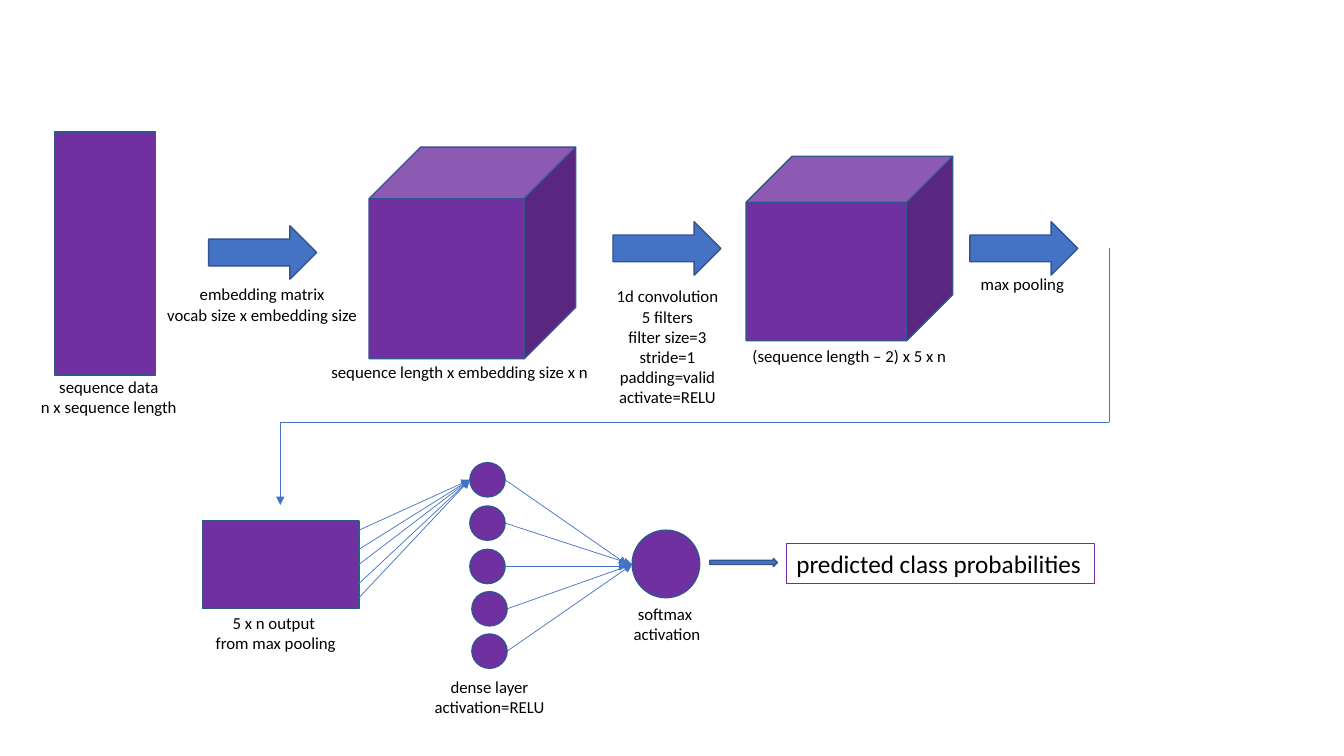
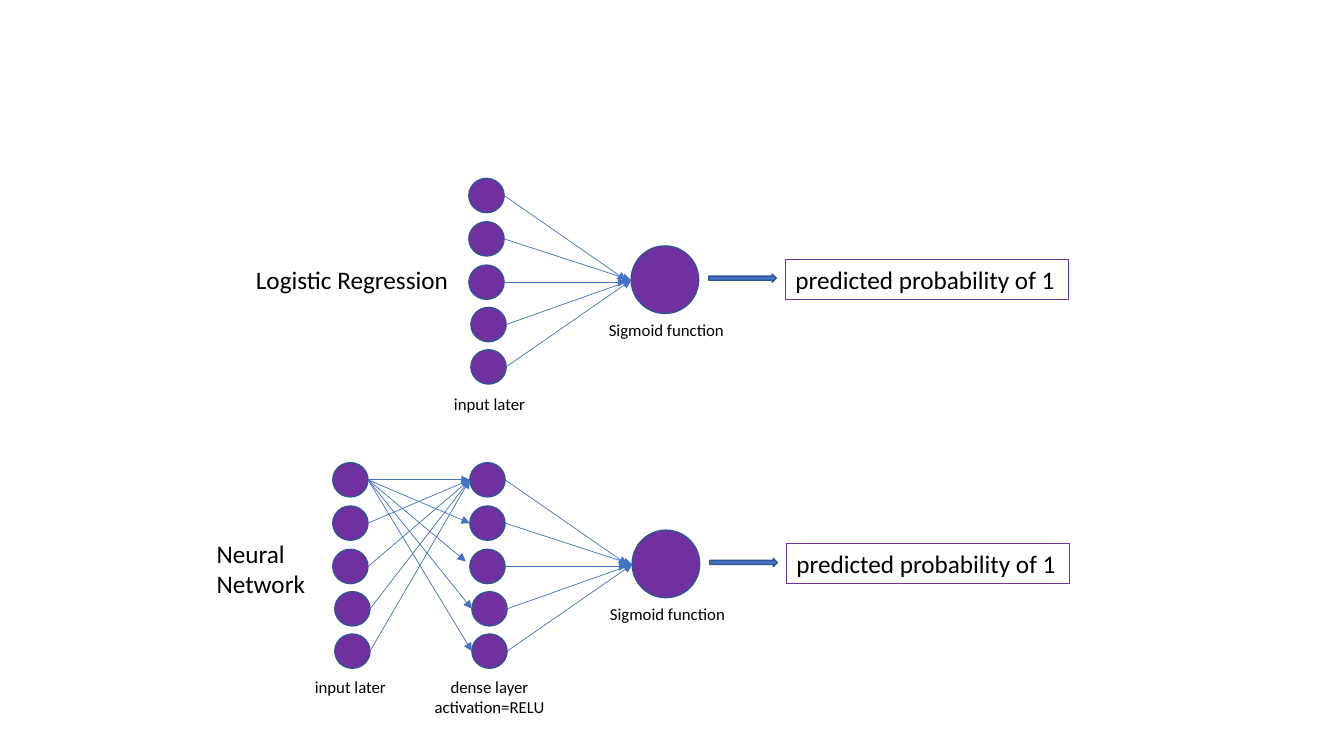
from dataclasses import dataclass
from typing import NamedTuple

from lxml import etree
from pptx import Presentation
from pptx.dml.color import RGBColor
from pptx.enum.shapes import MSO_CONNECTOR, MSO_SHAPE
from pptx.enum.text import MSO_AUTO_SIZE, PP_ALIGN
from pptx.oxml.ns import qn
from pptx.slide import Slide
from pptx.util import Inches, Pt

RECTANGLE = MSO_SHAPE.RECTANGLE
CUBE = MSO_SHAPE.CUBE
OVAL = MSO_SHAPE.OVAL
RIGHT_ARROW = MSO_SHAPE.RIGHT_ARROW
STRAIGHT = MSO_CONNECTOR.STRAIGHT
CENTER, LEFT = PP_ALIGN.CENTER, PP_ALIGN.LEFT
FIT_SHAPE = MSO_AUTO_SIZE.SHAPE_TO_FIT_TEXT


@dataclass(frozen=True)
class Theme:
    """Colours, type and line widths shared by the slides."""
    purple: RGBColor = RGBColor(0x70, 0x30, 0xA0)
    blue: RGBColor = RGBColor(0x44, 0x72, 0xC4)
    outline: RGBColor = RGBColor(0x32, 0x54, 0x91)
    ink: RGBColor = RGBColor(0, 0, 0)
    font: str = "Calibri"
    caption_size: float = 12
    heading_size: float = 18
    outline_width: float = 1
    frame_width: float = 0.75
    link_width: float = 0.5


class Point(NamedTuple):
    """A place on the page, in inches."""
    x: float
    y: float


class Box(NamedTuple):
    """A rectangle on the page, in inches."""
    left: float
    top: float
    width: float
    height: float


class Block(NamedTuple):
    """A filled preset shape."""
    kind: MSO_SHAPE
    box: Box
    color: RGBColor


class Caption(NamedTuple):
    """Centred small text below a block."""
    text: str
    box: Box


class Node(NamedTuple):
    """One neuron of a layer."""
    left: float
    top: float

    @property
    def entry(self) -> Point:
        """Return the middle of the left edge."""
        return Point(self.left, self.top + NODE_HEIGHT / 2)

    @property
    def exit(self) -> Point:
        """Return the middle of the right edge."""
        return Point(self.left + NODE_WIDTH, self.top + NODE_HEIGHT / 2)


THEME = Theme()
NODE_WIDTH, NODE_HEIGHT = 0.35, 0.34
NODE_OFFSETS = [(0, 0), (0, 0.43), (0, 0.86), (0.02, 1.28), (0.02, 1.7)]
LINK_ENDS = [(1.56, 1.01), (1.61, 1.01), (1.56, 1.03), (1.61, 1.01), (1.61, 1.01)]
DENSE = Point(4.66, 4.59)
LOGISTIC = Point(4.65, 1.77)
INPUT = Point(3.3, 4.59)

PIPELINE = [
    Block(CUBE, Box(3.66, 1.46, 2.05, 2.1), THEME.purple),
    Block(RECTANGLE, Box(0.54, 1.31, 1, 2.41), THEME.purple),
    Block(CUBE, Box(7.4, 1.55, 2.05, 1.83), THEME.purple),
    Block(RECTANGLE, Box(2.01, 5.17, 1.55, 0.87), THEME.purple),
    Block(RIGHT_ARROW, Box(2.07, 2.24, 1.07, 0.53), THEME.blue),
    Block(RIGHT_ARROW, Box(6.08, 2.2, 1.07, 0.53), THEME.blue),
    Block(RIGHT_ARROW, Box(9.62, 2.2, 1.07, 0.53), THEME.blue),
]
PIPELINE_CAPTIONS = [
    Caption("sequence data\nn x sequence length", Box(0.3, 3.69, 1.56, 0.5)),
    Caption("embedding matrix\nvocab size x embedding size", Box(1.54, 2.77, 2.12, 0.5)),
    Caption("sequence length x embedding size x n", Box(3.17, 3.54, 2.78, 0.3)),
    Caption("1d convolution\n5 filters\nfilter size=3\nstride=1\npadding=valid\nactivate=RELU",
            Box(6.01, 2.79, 1.22, 1.31)),
    Caption("(sequence length – 2) x 5 x n", Box(7.35, 3.38, 2.15, 0.3)),
    Caption("max pooling", Box(9.62, 2.67, 1.04, 0.3)),
    Caption("5 x n output \nfrom max pooling", Box(2.03, 6.03, 1.41, 0.5)),
]
DENSE_CAPTION = Caption("dense layer\nactivation=RELU", Box(4.2, 6.66, 1.31, 0.5))
INPUT_CAPTIONS = [
    Caption("input later", Box(4.2, 3.86, 1.31, 0.3)),
    Caption("input later", Box(2.82, 6.66, 1.31, 0.3)),
]
POOLED_EDGE = 3.56
POOLED_ROWS = [5.26, 5.45, 5.6, 5.79, 5.93]


def inches(box: Box) -> list[Inches]:
    """Convert a box to lengths."""
    return [Inches(value) for value in box]


def add_text(page: Slide, text: str, box: Box, *, size: float = THEME.caption_size,
             align: PP_ALIGN = CENTER, frame: RGBColor | None = None) -> None:
    """Write one paragraph per line of text, with an optional frame."""
    shape = page.shapes.add_textbox(*inches(box))
    if frame is not None:
        shape.line.color.rgb = frame
        shape.line.width = Pt(THEME.frame_width)
    body = shape.text_frame
    body.word_wrap = False
    body.auto_size = FIT_SHAPE
    for index, line in enumerate(text.split("\n")):
        para = body.add_paragraph() if index else body.paragraphs[0]
        para.alignment = align
        span = para.add_run()
        span.text = line
        span.font.name = THEME.font
        span.font.size = Pt(size)
        span.font.color.rgb = THEME.ink


def add_captions(page: Slide, captions: list[Caption]) -> None:
    """Write a set of captions."""
    for caption in captions:
        add_text(page, caption.text, caption.box)


def add_block(page: Slide, block: Block) -> None:
    """Draw a filled, outlined shape."""
    shape = page.shapes.add_shape(block.kind, *inches(block.box))
    shape.shadow.inherit = False
    shape.fill.solid()
    shape.fill.fore_color.rgb = block.color
    shape.line.color.rgb = THEME.outline
    shape.line.width = Pt(THEME.outline_width)


def add_link(page: Slide, start: Point, end: Point, arrow: bool = True) -> None:
    """Draw a thin line, with an arrowhead at its end if wanted."""
    link = page.shapes.add_connector(STRAIGHT, *(Inches(value) for value in (*start, *end)))
    link.line.color.rgb = THEME.blue
    link.line.width = Pt(THEME.link_width)
    properties = link._element.spPr
    if arrow:
        etree.SubElement(properties.find(qn("a:ln")), qn("a:tailEnd"), type="triangle")
    etree.SubElement(properties, qn("a:effectLst"))


def add_layer(page: Slide, origin: Point) -> list[Node]:
    """Draw a column of neurons and return them from top to bottom."""
    nodes = [Node(origin.x + right, origin.y + down) for right, down in NODE_OFFSETS]
    for node in nodes:
        add_block(page, Block(OVAL, Box(*node, NODE_WIDTH, NODE_HEIGHT), THEME.purple))
    return nodes


def add_classifier(page: Slide, origin: Point, function: Caption,
                   result: str, result_width: float) -> list[Node]:
    """Draw a layer feeding one output neuron and its result; return the layer."""
    x, y = origin
    nodes = add_layer(page, origin)
    add_block(page, Block(OVAL, Box(x + 1.61, y + 0.67, 0.67, 0.67), THEME.purple))
    for node, (right, down) in zip(nodes, LINK_ENDS):
        add_link(page, node.exit, Point(x + right, y + down))
    add_block(page, Block(RIGHT_ARROW, Box(x + 2.38, y + 0.95, 0.67, 0.08), THEME.blue))
    add_text(page, function.text, function.box)
    add_text(page, result, Box(x + 3.14, y + 0.8, result_width, 0.4),
             size=THEME.heading_size, align=LEFT, frame=THEME.purple)
    return nodes


def build_convolution(page: Slide) -> None:
    """Draw the convolutional network from sequence data to classes."""
    for block in PIPELINE:
        add_block(page, block)
    add_captions(page, [*PIPELINE_CAPTIONS, DENSE_CAPTION])
    dense = add_classifier(page, DENSE,
                           Caption("softmax \nactivation", Box(6.18, 5.94, 0.87, 0.5)),
                           "predicted class probabilities", 3.06)
    for row in POOLED_ROWS:
        add_link(page, Point(POOLED_EDGE, row), dense[0].entry)
    lower_left, lower_right = Point(2.78, 4.19), Point(11, 4.19)
    add_link(page, lower_left, lower_right, arrow=False)
    add_link(page, lower_right, Point(11, 2.46), arrow=False)
    add_link(page, lower_left, Point(2.78, 5.01))


def build_comparison(page: Slide) -> None:
    """Draw logistic regression above a neural network."""
    dense, _ = [
        add_classifier(page, origin,
                       Caption("Sigmoid function", Box(origin.x + 1.28, origin.y + 1.35, 1.36, 0.3)),
                       "predicted probability of 1", 2.81)
        for origin in (DENSE, LOGISTIC)
    ]
    inputs = add_layer(page, INPUT)
    add_captions(page, [DENSE_CAPTION, *INPUT_CAPTIONS])
    add_text(page, "Logistic Regression", Box(2.44, 2.57, 2.13, 0.4),
             size=THEME.heading_size, align=LEFT)
    add_text(page, "Neural \nNetwork", Box(2.05, 5.29, 1.09, 0.71),
             size=THEME.heading_size, align=LEFT)
    targets = [node.entry for node in dense]
    targets[2] = Point(4.62, 5.57)
    for target in targets:
        add_link(page, inputs[0].exit, target)
    for node in inputs[1:]:
        add_link(page, node.exit, dense[0].entry)


def main() -> None:
    """Build and save the deck."""
    deck = Presentation()
    deck.slide_width, deck.slide_height = Inches(13.33), Inches(7.5)
    blank = deck.slide_layouts[6]
    for build in (build_convolution, build_comparison):
        build(deck.slides.add_slide(blank))
    deck.save("out.pptx")


main()
